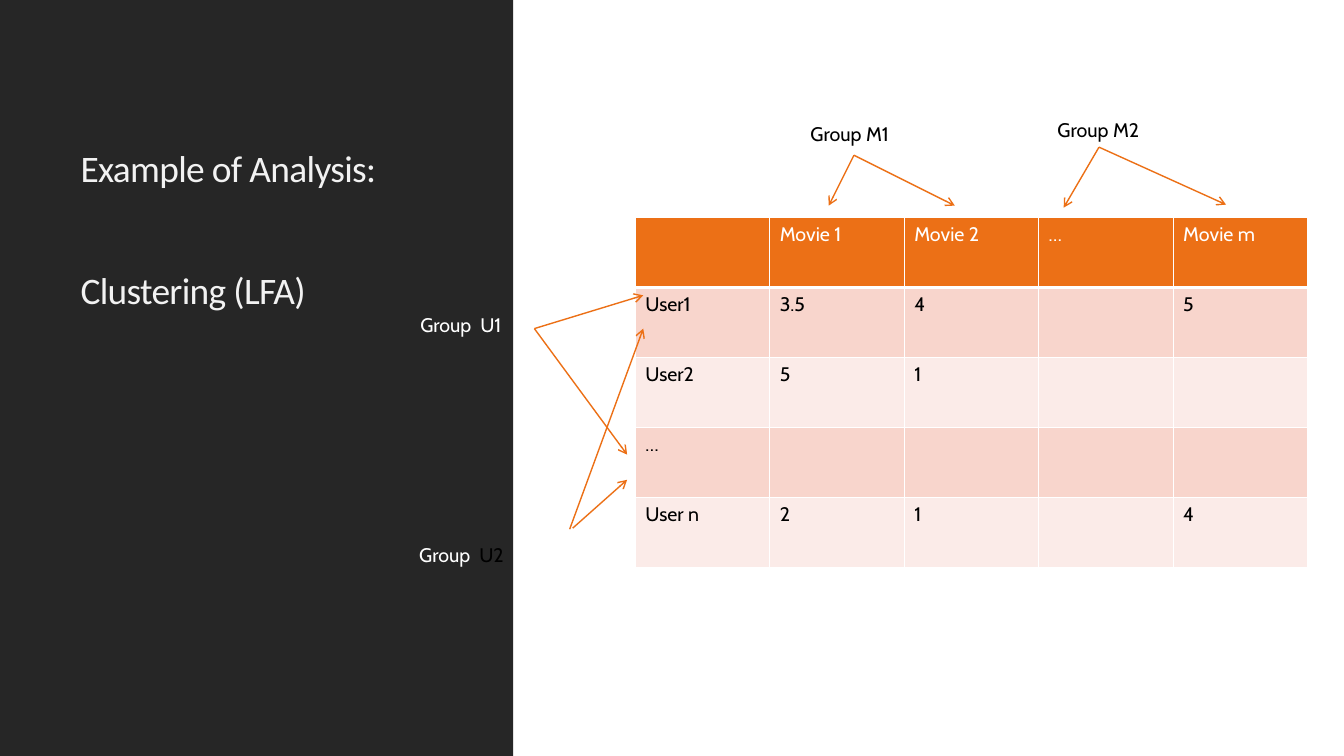
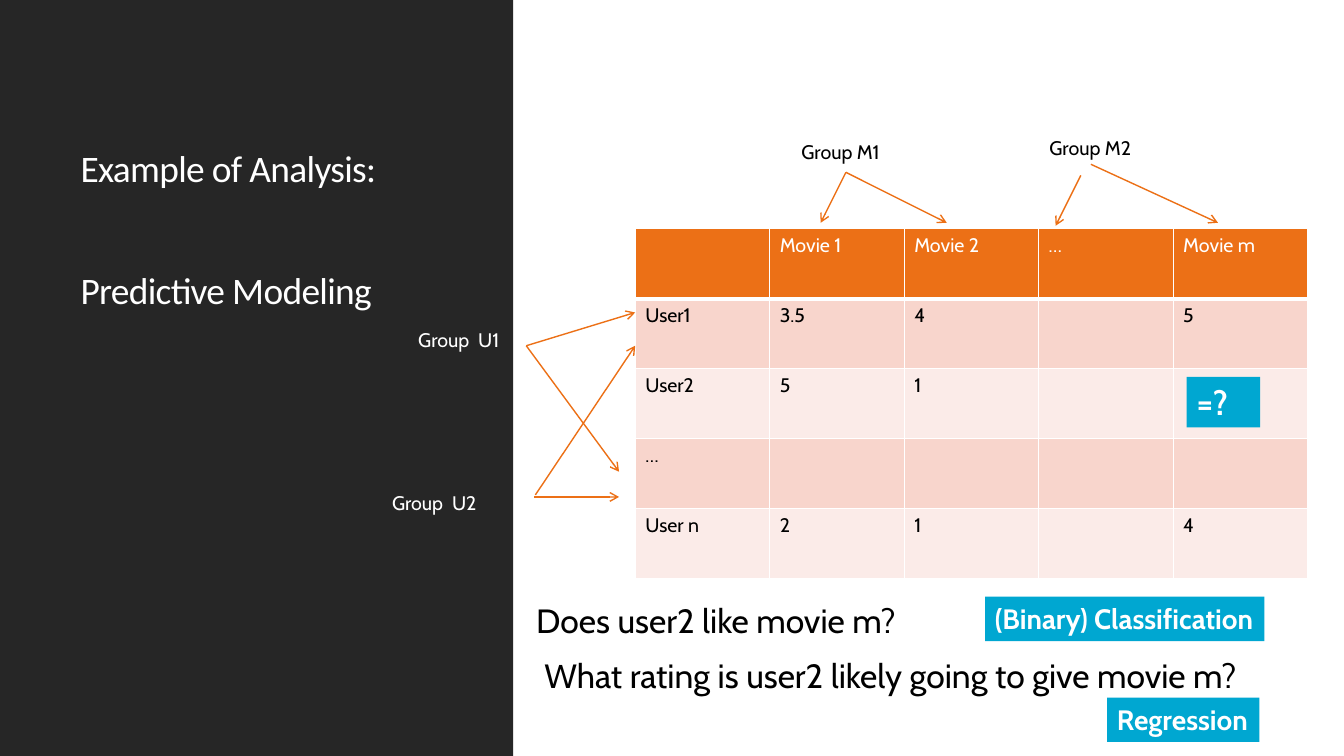
"""Build two slides on clustering and predicting movie ratings."""
from dataclasses import dataclass

from lxml import etree
from pptx import Presentation
from pptx.dml.color import RGBColor
from pptx.enum.shapes import MSO_CONNECTOR, MSO_SHAPE
from pptx.enum.text import MSO_ANCHOR, MSO_AUTO_SIZE, PP_ALIGN
from pptx.oxml.ns import qn
from pptx.util import Inches, Pt

RECTANGLE = MSO_SHAPE.RECTANGLE
STRAIGHT = MSO_CONNECTOR.STRAIGHT
BOTTOM = MSO_ANCHOR.BOTTOM
TOP = MSO_ANCHOR.TOP
GROW = MSO_AUTO_SIZE.SHAPE_TO_FIT_TEXT
LEFT = PP_ALIGN.LEFT


@dataclass(frozen=True)
class Theme:
    dark: str = "262626"
    orange: str = "EC7016"
    bands: tuple = ("F8D5CC", "FBEBE8")
    blue: str = "00A7D1"
    white: str = "FFFFFF"
    soft_white: str = "F2F2F2"
    black: str = "000000"
    title_font: str = "Calibri"
    body_font: str = "Cabin"
    title_size: float = 26.7
    label_size: int = 14
    tag_size: int = 20
    question_size: int = 24


THEME = Theme()


def style_span(span, size, colour, font=THEME.body_font, bold=False):
    """Set the type of one run."""
    span.font.name = font
    span.font.size = Pt(size)
    span.font.bold = bold
    span.font.color.rgb = RGBColor.from_string(colour)


def add_label(page, place, text, size, colour, fill=None):
    """Add a text box, or a bold tag when a fill is given."""
    left, top, width, height = map(Inches, place)
    if fill:
        box = page.shapes.add_shape(RECTANGLE, left, top, width, height)
        box.shadow.inherit = False
        box.fill.solid()
        box.fill.fore_color.rgb = RGBColor.from_string(fill)
        box.line.fill.background()
    else:
        box = page.shapes.add_textbox(left, top, width, height)
    frame = box.text_frame
    frame.word_wrap = False
    frame.auto_size = GROW
    frame.vertical_anchor = TOP
    frame.text = text
    para = frame.paragraphs[0]
    para.alignment = LEFT
    style_span(para.runs[0], size, colour, bold=bool(fill))
    return para


RATINGS = [
    ["", "Movie 1", "Movie 2", "…", "Movie m"],
    ["User1", "3.5", "4", "", "5"],
    ["User2", "5", "1", "", ""],
    ["…", "", "", "", ""],
    ["User n", "2", "1", "", "4"],
]

SLIDES = [
    {
        "title": ["Example of Analysis:", "Clustering (LFA)"],
        "title_colour": THEME.soft_white,
        "table_top": 2.16,
        "labels": [
            (7.94, 1.16, "Group M1", THEME.black),
            (10.39, 1.12, "Group M2", THEME.black),
            (4.07, 3.06, "Group  U1", THEME.white),
        ],
        "arrows": [
            (8.47, 1.54, 8.22, 2.04),
            (8.47, 1.54, 9.47, 2.04),
            (10.9, 1.46, 12.16, 2.03),
            (10.9, 1.46, 10.55, 2.06),
            (5.3, 3.26, 6.38, 2.93),
            (5.3, 3.26, 6.22, 4.51),
            (5.68, 5.24, 6.22, 4.76),
            (5.65, 5.25, 6.38, 3.26),
        ],
    },
    {
        "title": ["Example of Analysis:", "Predictive Modeling"],
        "title_colour": THEME.white,
        "table_top": 2.27,
        "labels": [
            (7.85, 1.34, "Group M1", THEME.black),
            (10.31, 1.3, "Group M2", THEME.black),
            (4.05, 3.2, "Group  U1", THEME.white),
            (3.79, 4.82, "Group  U2", THEME.white),
        ],
        "arrows": [
            (8.39, 1.71, 8.14, 2.21),
            (8.39, 1.71, 9.39, 2.21),
            (10.82, 1.63, 12.08, 2.21),
            (10.72, 1.74, 10.47, 2.24),
            (5.22, 3.43, 6.3, 3.1),
            (5.22, 3.43, 6.14, 4.68),
            (5.3, 4.93, 6.14, 4.93),
            (5.31, 4.91, 6.3, 3.43),
        ],
    },
]

deck = Presentation()
deck.slide_width = Inches(13.33)
deck.slide_height = Inches(7.5)
pages = []

for content in SLIDES:
    page = deck.slides.add_slide(deck.slide_layouts[6])
    pages.append(page)

    panel = page.shapes.add_shape(RECTANGLE, 0, 0, Inches(5.09), deck.slide_height)
    panel.shadow.inherit = False
    panel.fill.solid()
    panel.fill.fore_color.rgb = RGBColor.from_string(THEME.dark)
    panel.line.fill.background()

    title = page.shapes.add_textbox(Inches(0.7), Inches(0.86), Inches(3.85), Inches(2.29))
    title.text_frame.word_wrap = True
    title.text_frame.vertical_anchor = BOTTOM
    title.text_frame.text = "\n".join(content["title"])
    for para in title.text_frame.paragraphs:
        para.line_spacing = 0.9
        span = para.runs[0]
        style_span(span, THEME.title_size, content["title_colour"], THEME.title_font)
        span.font._element.set("spc", "-50")
    title.text_frame.paragraphs[1].space_before = Pt(58)

    table = page.shapes.add_table(
        len(RATINGS), len(RATINGS[0]),
        Inches(6.3), Inches(content["table_top"]), Inches(6.67), Inches(3.47),
    ).table
    table.horz_banding = False
    for row_index, values in enumerate(RATINGS):
        is_header = row_index == 0
        fill = THEME.orange if is_header else THEME.bands[(row_index - 1) % 2]
        for column_index, value in enumerate(values):
            cell = table.cell(row_index, column_index)
            properties = cell._tc.get_or_add_tcPr()
            for side in ("lnL", "lnR", "lnT", "lnB"):
                width = Pt(3 if is_header and side == "lnB" else 1)
                border = etree.SubElement(properties, qn(f"a:{side}"), w=str(width))
                paint = etree.SubElement(border, qn("a:solidFill"))
                etree.SubElement(paint, qn("a:srgbClr"), val=THEME.white)
            cell.fill.solid()
            cell.fill.fore_color.rgb = RGBColor.from_string(fill)
            if value:
                cell.text = value
                colour = THEME.white if is_header else THEME.black
                style_span(cell.text_frame.paragraphs[0].runs[0], THEME.label_size, colour)

    for start_x, start_y, end_x, end_y in content["arrows"]:
        arrow = page.shapes.add_connector(
            STRAIGHT, Inches(start_x), Inches(start_y), Inches(end_x), Inches(end_y)
        )
        arrow.line.color.rgb = RGBColor.from_string(THEME.orange)
        arrow.line.width = Pt(1)
        etree.SubElement(arrow.line._get_or_add_ln(), qn("a:tailEnd"), type="arrow")
        etree.SubElement(arrow._element.spPr, qn("a:effectLst"))

    for left, top, text, colour in content["labels"]:
        add_label(page, (left, top, 1.04, 0.34), text, THEME.label_size, colour)

clustering, prediction = pages

group_para = add_label(
    clustering, (4.06, 5.34, 1.04, 0.34), "Group", THEME.label_size, THEME.white
)
group_number = group_para.add_run()
group_number.text = "  U2"
style_span(group_number, THEME.label_size, THEME.black)

for place, text in [
    ((5.22, 5.9, 3.95, 0.5), "Does user2 like movie m?"),
    ((5.3, 6.45, 7.25, 0.5), "What rating is user2 likely going to give movie m?"),
]:
    add_label(prediction, place, text, THEME.question_size, THEME.black)

for place, text, size in [
    ((11.77, 3.74, 0.73, 0.5), "=?", THEME.question_size),
    ((9.77, 5.92, 2.77, 0.44), "(Binary) Classification", THEME.tag_size),
    ((10.98, 6.92, 1.51, 0.44), "Regression", THEME.tag_size),
]:
    tag = add_label(prediction, place, text, size, THEME.white, THEME.blue)

deck.save("out.pptx")
